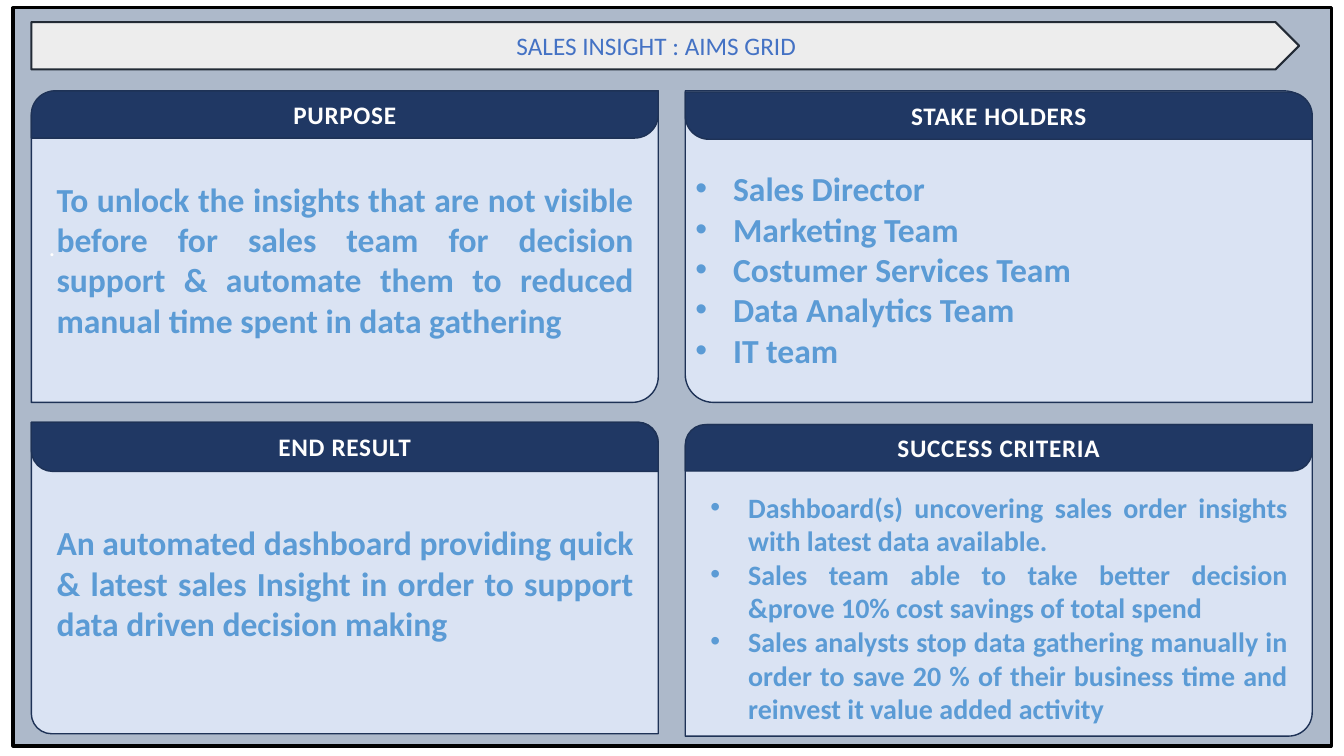
from dataclasses import dataclass

from lxml import etree
from pptx import Presentation
from pptx.dml.color import RGBColor
from pptx.enum.shapes import MSO_SHAPE
from pptx.enum.text import MSO_ANCHOR, MSO_AUTO_SIZE, PP_ALIGN
from pptx.oxml.ns import qn
from pptx.util import Cm, Pt

RECTANGLE, PENTAGON = MSO_SHAPE.RECTANGLE, MSO_SHAPE.PENTAGON
DIAGONAL = MSO_SHAPE.ROUND_2_DIAG_RECTANGLE
MIDDLE, TOP = MSO_ANCHOR.MIDDLE, MSO_ANCHOR.TOP
LEFT, CENTER, JUSTIFY = PP_ALIGN.LEFT, PP_ALIGN.CENTER, PP_ALIGN.JUSTIFY
GROW = MSO_AUTO_SIZE.SHAPE_TO_FIT_TEXT
COMPARISON_LAYOUT = 4

TITLE = "SALES INSIGHT : AIMS GRID"

# Placement in cm; corners are the two diagonal roundings (panel, header).
# The text offset and top belong to the panel's text box.
PANELS = [
    dict(
        heading="PURPOSE", column=0, top=2.29, header_top=2.29, header_height=1.19,
        corners=((0.083, 0), (0.5, 0)), mark=".",
        text_offset=0.38, text_top=4.37, text_height=4.37, size=24, bulleted=False,
        lines=["To unlock the insights that are not visible before for sales team "
               "for decision support & automate them to reduced manual time spent "
               "in data gathering"],
    ),
    dict(
        heading="STAKE HOLDERS", column=1, top=2.29, header_top=2.32, header_height=1.19,
        corners=((0, 0.09), (0, 0.5)), mark="",
        text_offset=0, text_top=4.11, text_height=5.38, size=24, bulleted=True,
        lines=["Sales Director", "Marketing Team", "Costumer Services Team",
               "Data Analytics Team", "IT team"],
    ),
    dict(
        heading="END RESULT", column=0, top=10.64, header_top=10.64, header_height=1.24,
        corners=((0, 0.065), (0, 0.432)), mark="",
        text_offset=0.38, text_top=13.03, text_height=3.33, size=24, bulleted=False,
        lines=["An automated dashboard providing quick & latest sales Insight in "
               "order to support data driven decision making"],
    ),
    dict(
        heading="SUCCESS CRITERIA", column=1, top=10.7, header_top=10.7, header_height=1.17,
        corners=((0.076, 0), (0.435, 0)), mark="",
        text_offset=0.38, text_top=12.22, text_height=6.25, size=20, bulleted=True,
        lines=["Dashboard(s) uncovering sales order insights with latest data available.",
               "Sales team able to take better decision &prove 10% cost savings of "
               "total spend",
               "Sales analysts stop data gathering manually in order to save 20 % of "
               "their business time and reinvest it value added activity"],
    ),
]

MARGIN, COLUMN_STEP = 0.79, 16.48
PANEL_WIDTH, PANEL_HEIGHT, TEXT_WIDTH = 15.8, 7.85, 15.06
BULLET_INDENT = 0.95


@dataclass(frozen=True)
class Theme:
    font: str = "Calibri"
    heading_size: int = 18
    backdrop: str = "ADB9CA"
    frame: str = "000000"
    banner: str = "EDEDED"
    banner_line: str = "222A35"
    accent: str = "4472C4"
    panel: str = "DAE3F3"
    header: str = "203864"
    panel_line: str = "1E3256"
    heading: str = "FEFEFE"
    body: str = "5B9BD5"
    mark: str = "FFFFFF"


THEME = Theme()


def add_block(page, kind, bounds, fill, line, line_width, corners=()):
    block = page.shapes.add_shape(kind, *map(Cm, bounds))
    block.shadow.inherit = False
    block.fill.solid()
    block.fill.fore_color.rgb = RGBColor.from_string(fill)
    block.line.color.rgb = RGBColor.from_string(line)
    block.line.width = Pt(line_width)
    for index, corner in enumerate(corners):
        block.adjustments[index] = corner
    return block


def set_bullet(para, bulleted):
    properties = para._p.get_or_add_pPr()
    indent = Cm(BULLET_INDENT) if bulleted else 0
    properties.set("marL", str(indent))
    properties.set("indent", str(-indent))
    if bulleted:
        etree.SubElement(properties, qn("a:buFont"), typeface="Arial")
        etree.SubElement(properties, qn("a:buChar"), char="•")
    else:
        etree.SubElement(properties, qn("a:buNone"))


def write(box, lines, size, color, align, anchor=MIDDLE, bold=False, bulleted=False):
    frame = box.text_frame
    frame.text = "\n".join(lines)
    frame.word_wrap = True
    frame.vertical_anchor = anchor
    for para in frame.paragraphs:
        set_bullet(para, bulleted)
        para.alignment = align
        para.line_spacing = 1.0
        para.space_before = para.space_after = Pt(0)
        para.font.name = THEME.font
        para.font.size = Pt(size)
        para.font.bold = bold
        para.font.color.rgb = RGBColor.from_string(color)


def outline_letters(para):
    """Space the letters slightly and give them a thin accent outline."""
    properties = para.font._rPr
    properties.set("spc", "50")
    outline = etree.Element(qn("a:ln"), w=str(Pt(0.75)))
    fill = etree.SubElement(outline, qn("a:solidFill"))
    etree.SubElement(fill, qn("a:srgbClr"), val=THEME.accent)
    properties.insert(0, outline)


def place(page, box, bounds):
    """Position a placeholder and bring it to the front."""
    box.left, box.top, box.width, box.height = map(Cm, bounds)
    page.shapes._spTree.append(box._element)


def panel_left(panel):
    return MARGIN + panel["column"] * COLUMN_STEP


def add_panel(page, panel):
    body = add_block(page, DIAGONAL,
                     (panel_left(panel), panel["top"], PANEL_WIDTH, PANEL_HEIGHT),
                     THEME.panel, THEME.panel_line, 1, panel["corners"][0])
    if panel["mark"]:
        write(body, [panel["mark"]], THEME.heading_size, THEME.mark, LEFT)


def add_header(page, panel):
    bounds = (panel_left(panel), panel["header_top"], PANEL_WIDTH, panel["header_height"])
    header = add_block(page, DIAGONAL, bounds, THEME.header, THEME.panel_line, 1,
                       panel["corners"][1])
    write(header, [panel["heading"]], THEME.heading_size, THEME.heading, CENTER, bold=True)
    outline_letters(header.text_frame.paragraphs[0])


def fill_body(page, box, panel):
    place(page, box, (panel_left(panel) + panel["text_offset"], panel["text_top"],
                      TEXT_WIDTH, panel["text_height"]))
    write(box, panel["lines"], panel["size"], THEME.body, JUSTIFY, TOP, True,
          panel["bulleted"])
    box.text_frame.auto_size = GROW


def main():
    deck = Presentation()
    deck.slide_width, deck.slide_height = Cm(33.87), Cm(19.05)
    page = deck.slides.add_slide(deck.slide_layouts[COMPARISON_LAYOUT])
    title, *bodies = list(page.placeholders)

    add_block(page, RECTANGLE, (0.33, 0.2, 33.22, 18.6), THEME.backdrop, THEME.frame, 2.25)
    add_block(page, PENTAGON, (MARGIN, 0.56, 31.95, 1.19), THEME.banner,
              THEME.banner_line, 1.5)
    place(page, title, (MARGIN, 0.56, 31.5, 1.19))
    write(title, [TITLE], THEME.heading_size, THEME.accent, CENTER)

    for panel, body in zip(PANELS, bodies):
        add_panel(page, panel)
        add_header(page, panel)
        fill_body(page, body, panel)
    deck.save("out.pptx")


if __name__ == "__main__":
    main()
